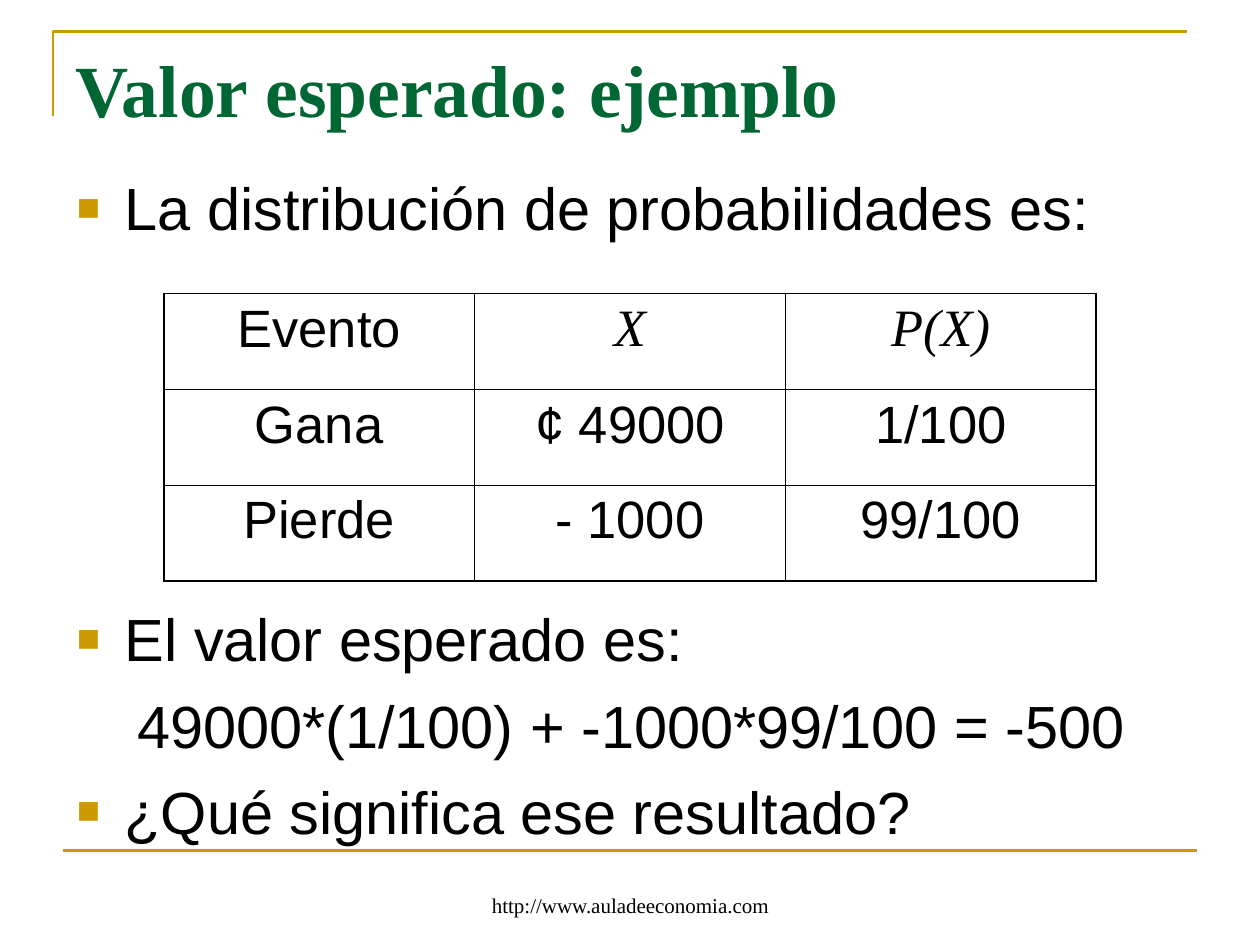
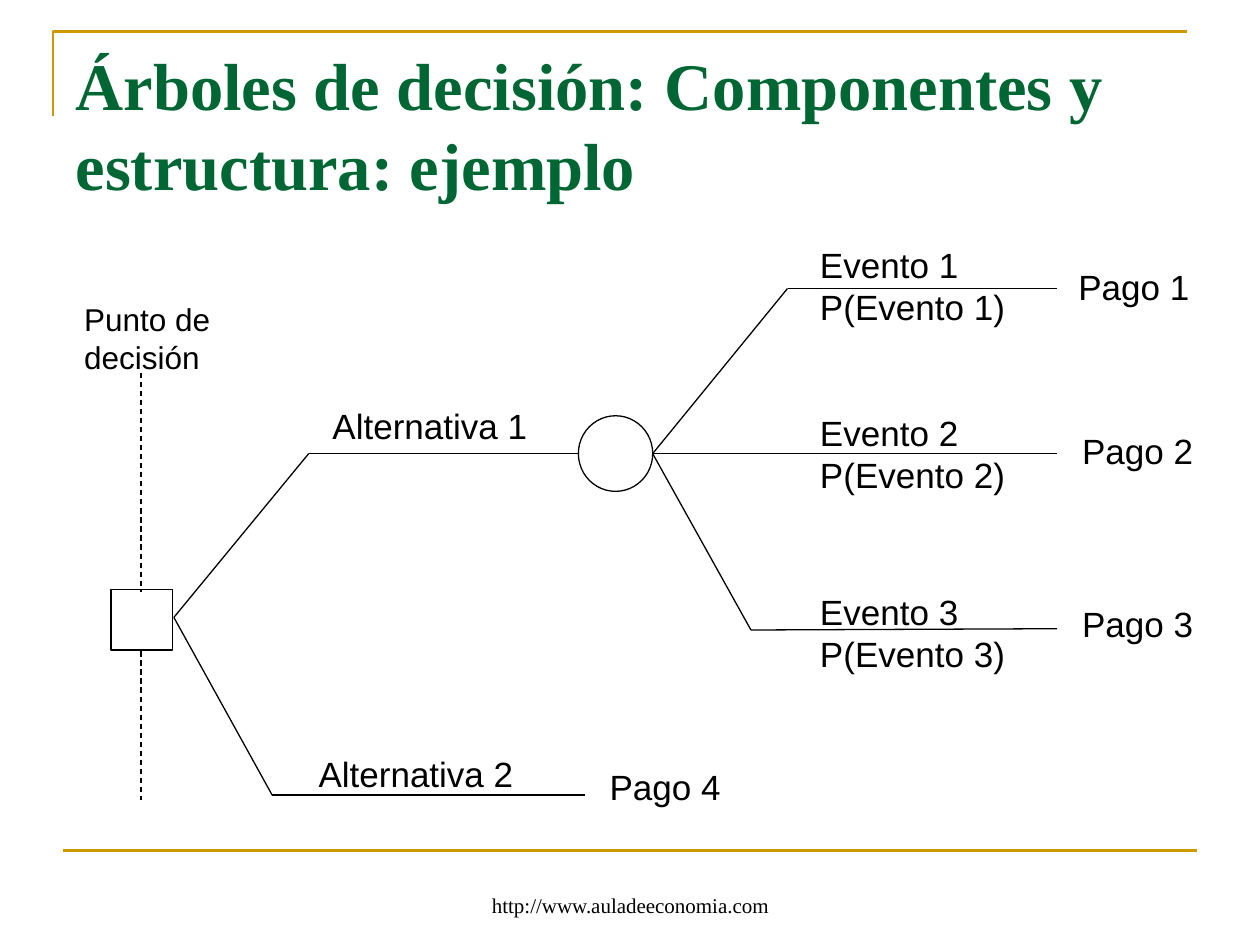
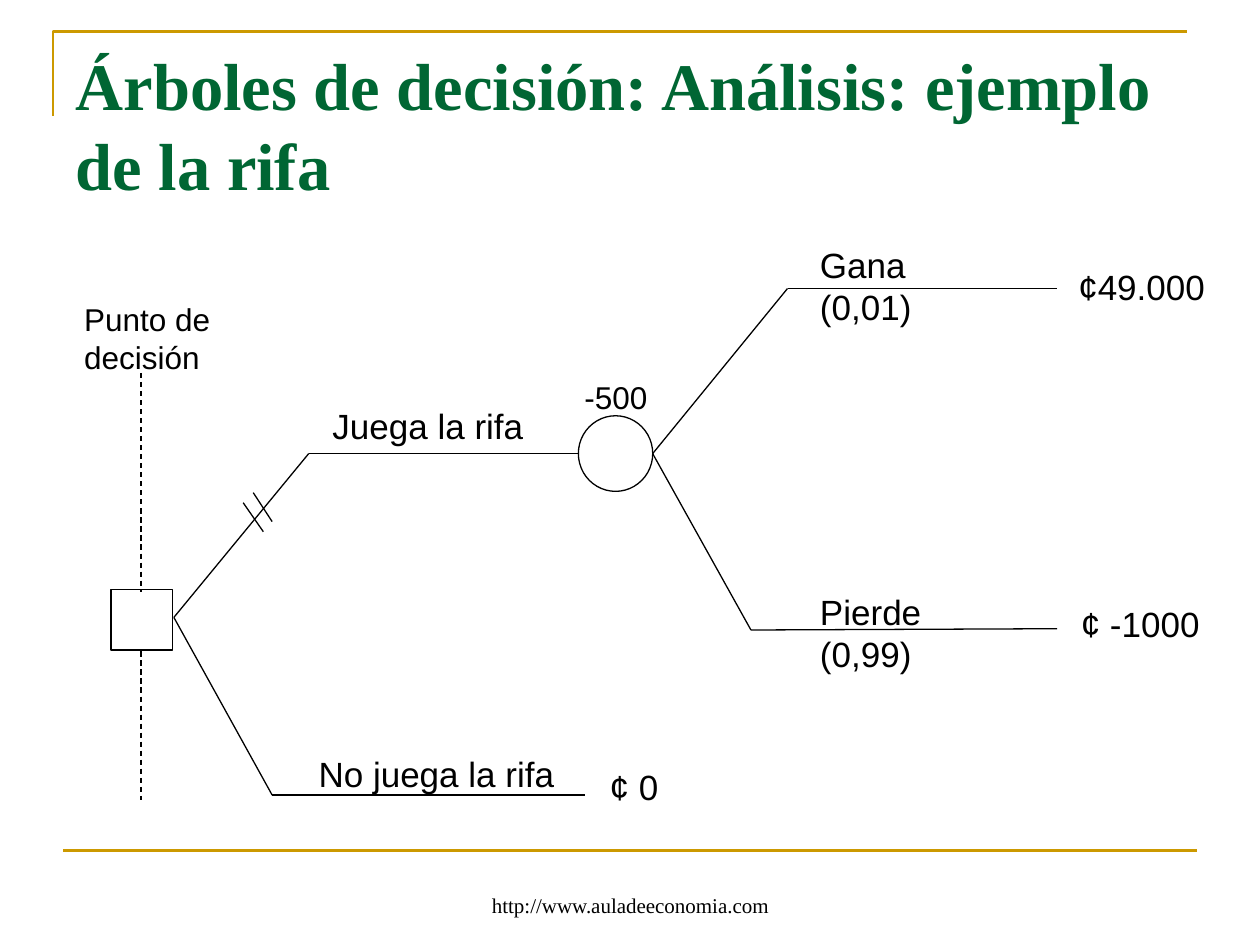
from dataclasses import dataclass
from itertools import pairwise, product

from lxml.etree import SubElement
from pptx import Presentation
from pptx.dml.color import RGBColor
from pptx.enum.dml import MSO_LINE
from pptx.enum.shapes import MSO_CONNECTOR, MSO_SHAPE
from pptx.enum.text import MSO_ANCHOR, MSO_AUTO_SIZE, PP_ALIGN
from pptx.oxml.ns import qn
from pptx.util import Inches, Pt


@dataclass(frozen=True)
class Theme:
    black: str = "000000"
    green: str = "006633"
    gold: str = "CC9900"
    sans: str = "Arial"
    serif: str = "Times New Roman"
    title: int = 42
    long_title: int = 38
    body: int = 34
    cell: int = 30
    label: int = 20
    small_label: int = 18
    footer: int = 12
    frame_line: float = 1.5
    tree_line: float = 0.75
    outer_border: float = 1.08
    inner_border: float = 0.45


THEME = Theme()
TITLE_ONLY, TITLE_AND_BODY = 5, 1

# Decision tree: where the branches of both tree slides meet and end
DECISION = (1.38, 4.9)
CHANCE = (5.18, 3.6)
ALTERNATIVES = [
    [DECISION, (2.45, 3.6), (4.59, 3.6)],
    [DECISION, (2.16, 6.31), (4.64, 6.31)],
]
UPPER_EVENT = [CHANCE, (6.25, 2.29), (8.39, 2.29)]
MIDDLE_EVENT = [CHANCE, (8.39, 3.6)]
LOWER_EVENT = [CHANCE, (5.96, 5), (8.39, 4.99)]
DECISION_AXIS = [[(1.12, 2.96), (1.12, 4.7)], [(1.12, 5.17), (1.12, 6.35)]]
REJECTION_MARKS = [[(1.93, 3.99), (2.09, 4.22)], [(2.01, 3.91), (2.16, 4.14)]]


def format_font(font, size, name=THEME.sans, color=THEME.black, **styles):
    formats = {"size": Pt(size), "name": name, **styles}
    for attribute, value in formats.items():
        setattr(font, attribute, value)
    font.color.rgb = RGBColor.from_string(color)


def place(shape, left, top, width, height):
    bounds = {"left": left, "top": top, "width": width, "height": height}
    for attribute, value in bounds.items():
        setattr(shape, attribute, Inches(value))


def add_line(page, start, end, color=THEME.black, width=THEME.tree_line, dash=None):
    ends = [Inches(value) for value in (*start, *end)]
    line = page.shapes.add_connector(MSO_CONNECTOR.STRAIGHT, *ends)
    line.line.color.rgb = RGBColor.from_string(color)
    line.line.width = Pt(width)
    if dash:
        line.line.dash_style = dash
    SubElement(line._element.spPr, qn("a:effectLst"))


def add_branch(page, points, **style):
    for start, end in pairwise(points):
        add_line(page, start, end, **style)


def outline(shape, color, width):
    shape.shadow.inherit = False
    shape.fill.background()
    shape.line.color.rgb = RGBColor.from_string(color)
    shape.line.width = Pt(width)


def add_node(page, kind, bounds):
    node = page.shapes.add_shape(kind, *[Inches(value) for value in bounds])
    outline(node, THEME.black, THEME.tree_line)


def add_text(page, bounds, text, size=THEME.label, name=THEME.sans,
             wrap=False, align=PP_ALIGN.LEFT, anchor=MSO_ANCHOR.TOP):
    box = page.shapes.add_textbox(*[Inches(value) for value in bounds])
    frame = box.text_frame
    frame.word_wrap = wrap
    frame.vertical_anchor = anchor
    frame.text = text
    for para in frame.paragraphs:
        para.alignment = align
        format_font(para.font, size, name)


def add_frame(page):
    """Draw the gold corner, the gold rule and the web address of every slide."""
    builder = page.shapes.build_freeform(Inches(0.42), Inches(0.92), scale=1.0)
    corner = [(Inches(0.42), Inches(0.25)), (Inches(9.42), Inches(0.25))]
    builder.add_line_segments(corner, close=False)
    outline(builder.convert_to_shape(), THEME.gold, THEME.frame_line)
    add_line(page, (0.5, 6.75), (9.5, 6.75), THEME.gold, THEME.frame_line)
    add_text(page, (3.42, 6.83, 3.17, 0.5), "http://www.auladeeconomia.com",
             THEME.footer, THEME.serif, wrap=True,
             align=PP_ALIGN.CENTER, anchor=MSO_ANCHOR.BOTTOM)


def add_page(deck, layout, title, size):
    page = deck.slides.add_slide(deck.slide_layouts[layout])
    add_frame(page)
    place(page.shapes.title, 0.5, 0.3, 9, 1.25)
    frame = page.shapes.title.text_frame
    frame.text = title
    frame.vertical_anchor = MSO_ANCHOR.TOP
    frame.auto_size = MSO_AUTO_SIZE.NONE
    para = frame.paragraphs[0]
    para.alignment = PP_ALIGN.LEFT
    format_font(para.font, size, THEME.serif, THEME.green, bold=True)
    return page


def set_bullet(para, bulleted):
    """Hang the paragraph and give it a gold square, or no bullet at all."""
    properties = para._p.get_or_add_pPr()
    properties.set("marL", str(Inches(0.38)))
    properties.set("indent", str(-Inches(0.38)))
    if not bulleted:
        SubElement(properties, qn("a:buNone"))
        return
    color = SubElement(properties, qn("a:buClr"))
    SubElement(color, qn("a:srgbClr"), val=THEME.gold)
    SubElement(properties, qn("a:buSzPct"), val="65000")
    SubElement(properties, qn("a:buFont"), typeface=THEME.sans)
    SubElement(properties, qn("a:buChar"), char="■")


def fill_body(page, items):
    """Write (text, space before, bulleted) items in the body placeholder."""
    body = page.placeholders[1]
    place(body, 0.51, 1.31, 9, 5.67)
    frame = body.text_frame
    frame.auto_size = MSO_AUTO_SIZE.NONE
    frame.text = "\n".join(text for text, _, _ in items)
    for para, (_, space, bulleted) in zip(frame.paragraphs, items):
        set_bullet(para, bulleted)
        para.alignment = PP_ALIGN.LEFT if bulleted else PP_ALIGN.CENTER
        para.space_before = Pt(space)
        format_font(para.font, THEME.body)


def set_border(cell, side, width):
    properties = cell._tc.get_or_add_tcPr()
    border = SubElement(properties, qn(f"a:ln{side}"), w=str(Pt(width)))
    fill = SubElement(border, qn("a:solidFill"))
    SubElement(fill, qn("a:srgbClr"), val=THEME.black)


def add_grid(page, bounds, rows):
    """Add a table with thick outer and thin inner borders."""
    row_count, column_count = len(rows), len(rows[0])
    area = [Inches(value) for value in bounds]
    table = page.shapes.add_table(row_count, column_count, *area).table
    table.first_row = table.horz_banding = False
    for row, column in product(range(row_count), range(column_count)):
        cell = table.cell(row, column)
        outer_sides = {"L": column == 0, "R": column == column_count - 1,
                       "T": row == 0, "B": row == row_count - 1}
        for side, outer in outer_sides.items():
            set_border(cell, side, THEME.outer_border if outer else THEME.inner_border)
        cell.fill.background()
        cell.text = rows[row][column]
        symbol = row == 0 and column > 0
        para = cell.text_frame.paragraphs[0]
        para.alignment = PP_ALIGN.CENTER
        format_font(para.font, THEME.cell, THEME.serif if symbol else THEME.sans,
                    italic=symbol)


def add_tree(page, alternatives, last_payoff, events):
    """Draw the tree; events are (branch, label top, label, payoff place, payoff)."""
    add_node(page, MSO_SHAPE.RECTANGLE, (0.88, 4.68, 0.49, 0.48))
    add_node(page, MSO_SHAPE.OVAL, (4.59, 3.3, 0.59, 0.6))
    for branch in ALTERNATIVES:
        add_branch(page, branch)
    for axis in DECISION_AXIS:
        add_branch(page, axis, dash=MSO_LINE.DASH)
    add_text(page, (0.57, 2.33, 1.2, 0.7), "Punto de\ndecisión", THEME.small_label)
    for (left, top), text in zip([(2.54, 3.16), (2.43, 5.92)], alternatives):
        add_text(page, (left, top, 2.2, 0.44), text)
    add_text(page, (4.74, 6.03, 1.3, 0.44), last_payoff)
    for branch, label_top, label, payoff_place, payoff in events:
        add_branch(page, branch)
        add_text(page, (6.41, label_top, 2.07, 0.77), label, wrap=True)
        add_text(page, (*payoff_place, 1.3, 0.44), payoff)


def add_expected_value(deck):
    page = add_page(deck, TITLE_AND_BODY, "Valor esperado: ejemplo", THEME.title)
    fill_body(page, [
        ("La distribución de probabilidades es:", 0, True),
        ("El valor esperado es:", 205.5, True),
        ("49000*(1/100) + -1000*99/100 = -500", 8.5, False),
        ("¿Qué significa ese resultado?", 8.5, True),
    ])
    add_grid(page, (1.3, 2.33, 7.4, 2.28), [
        ("Evento", "X", "P(X)"),
        ("Gana", "¢ 49000", "1/100"),
        ("Pierde", "- 1000", "99/100"),
    ])


def add_tree_structure(deck):
    page = add_page(deck, TITLE_ONLY,
                    "Árboles de decisión: Componentes y estructura: ejemplo",
                    THEME.long_title)
    add_tree(page, ("Alternativa 1", "Alternativa 2"), "Pago 4", [
        (UPPER_EVENT, 1.88, "Evento 1\nP(Evento 1)", (8.46, 2.06), "Pago 1"),
        (MIDDLE_EVENT, 3.22, "Evento 2\nP(Evento 2)", (8.49, 3.36), "Pago 2"),
        (LOWER_EVENT, 4.64, "Evento 3\nP(Evento 3)", (8.49, 4.73), "Pago 3"),
    ])


def add_raffle_tree(deck):
    page = add_page(deck, TITLE_ONLY,
                    "Árboles de decisión: Análisis: ejemplo de la rifa",
                    THEME.long_title)
    add_tree(page, ("Juega la rifa", "No juega la rifa"), "¢ 0", [
        (UPPER_EVENT, 1.88, "Gana\n(0,01)", (8.46, 2.06), "¢49.000"),
        (LOWER_EVENT, 4.64, "Pierde\n(0,99)", (8.48, 4.73), "¢ -1000"),
    ])
    add_text(page, (4.54, 2.95, 0.75, 0.4), "-500", THEME.small_label)
    for mark in REJECTION_MARKS:
        add_branch(page, mark)


def main():
    deck = Presentation()
    deck.slide_width, deck.slide_height = Inches(10), Inches(7.5)
    add_expected_value(deck)
    add_tree_structure(deck)
    add_raffle_tree(deck)
    deck.save("out.pptx")


if __name__ == "__main__":
    main()
